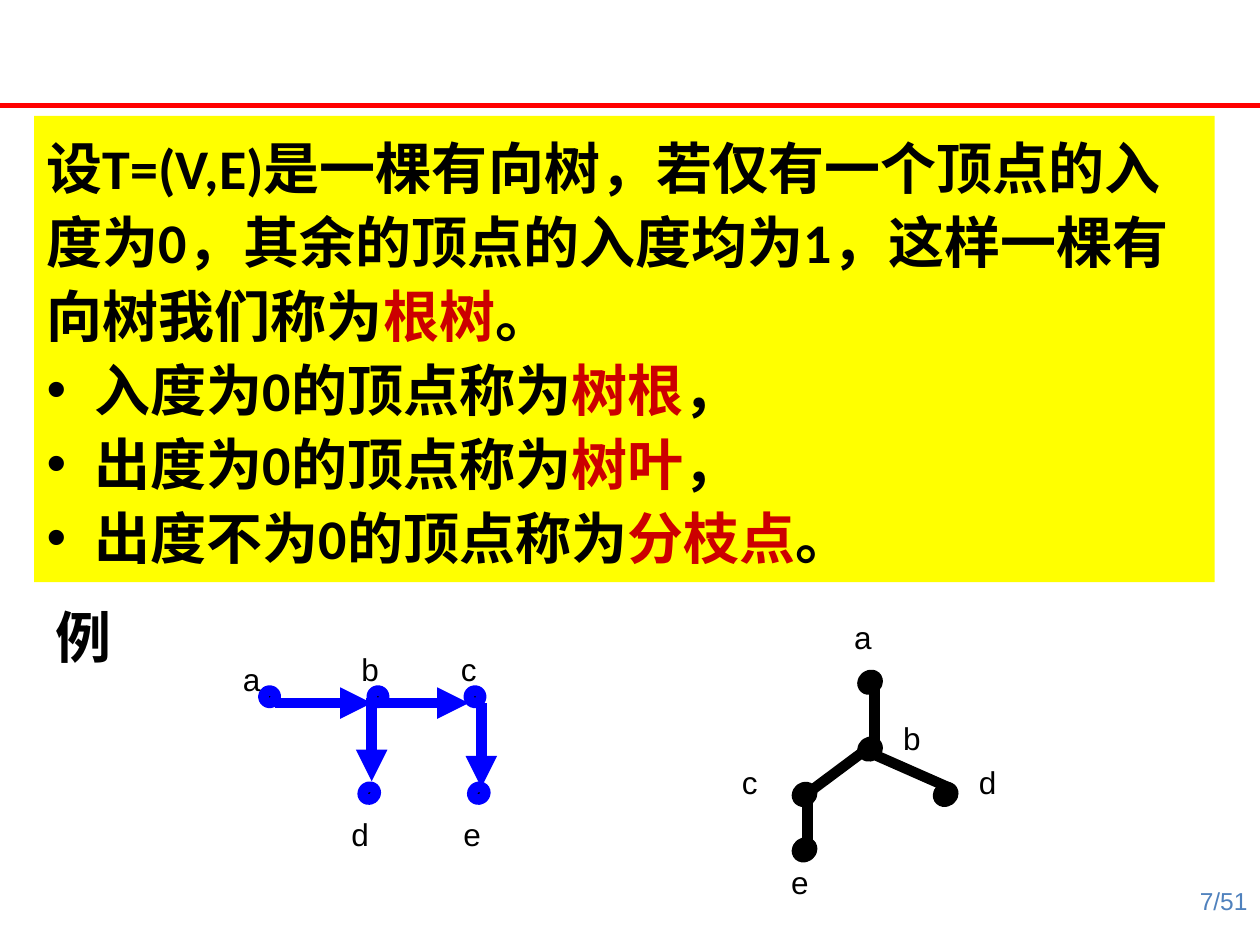
from lxml import etree
from pptx import Presentation
from pptx import util as u
from pptx.dml.color import RGBColor
from pptx.enum import shapes, text
from pptx.oxml.ns import qn

BLACK, BLUE, RED, CRIMSON = "000000", "0000FF", "FF0000", "CC0000"
YELLOW, STEEL = "FFFF00", "4F81BD"


def color(hex_string):
    return RGBColor.from_string(hex_string)


def add_text(p, content, font="Arial", size=18, fill=BLACK, bold=False):
    r = p.add_run()
    r.text = content
    r.font.name, r.font.size, r.font.bold = font, u.Pt(size), bold
    r.font.color.rgb = color(fill)
    return r


class Deck:
    def __init__(self):
        self.prs = Presentation()
        self.prs.slide_width, self.prs.slide_height = u.Inches(10), u.Inches(7.5)
        self.s = self.prs.slides.add_slide(self.prs.slide_layouts[1])
        title = self.s.shapes.title
        title.element.getparent().remove(title.element)
        self.shapes = self.s.shapes

    def group(self):
        self.shapes = self.s.shapes.add_group_shape().shapes

    def line(self, start, end, stroke, width=6, arrow=False):
        sp = self.shapes.add_connector(
            shapes.MSO_CONNECTOR.STRAIGHT, *map(u.Inches, (*start, *end)))
        sp.line.color.rgb, sp.line.width = color(stroke), u.Pt(width)
        if arrow:
            etree.SubElement(sp.line._get_or_add_ln(), qn("a:tailEnd"), type="triangle")
        etree.SubElement(sp._element.spPr, qn("a:effectLst"))

    def dot(self, x, y, w, h, stroke, rotation=0):
        sp = self.shapes.add_shape(
            shapes.MSO_SHAPE.OVAL, *map(u.Inches, (x, y, w, h)))
        sp.shadow.inherit = False
        sp.rotation = rotation
        sp.fill.solid()
        sp.fill.fore_color.rgb = color(BLACK)
        sp.line.color.rgb, sp.line.width = color(stroke), u.Pt(6)

    def label(self, content, x, y, w=0.34, h=0.4, align=None, wrap=False, **fmt):
        tf = self.shapes.add_textbox(*map(u.Inches, (x, y, w, h))).text_frame
        tf.word_wrap = wrap
        tf.auto_size = text.MSO_AUTO_SIZE.SHAPE_TO_FIT_TEXT
        p = tf.paragraphs[0]
        p.alignment = align
        add_text(p, content, **fmt)

    def body(self, paragraphs, x, y, w, h):
        sp = self.s.placeholders[1]
        sp.left, sp.top, sp.width, sp.height = map(u.Inches, (x, y, w, h))
        sp.fill.solid()
        sp.fill.fore_color.rgb = color(YELLOW)
        tf = sp.text_frame
        tf.auto_size = text.MSO_AUTO_SIZE.NONE
        tf.vertical_anchor = text.MSO_ANCHOR.MIDDLE
        for i, (lead, term, end) in enumerate(paragraphs):
            p = tf.paragraphs[0] if i == 0 else tf.add_paragraph()
            p.alignment = text.PP_ALIGN.LEFT
            p.line_spacing, p.space_before = 1.1, u.Pt(0)
            pPr = p._p.get_or_add_pPr()
            indent = u.Inches(0.38) if i else 0
            pPr.set("marL", str(indent))
            pPr.set("indent", str(-indent))
            if i:
                etree.SubElement(pPr, qn("a:buFont"), typeface="Arial")
                etree.SubElement(pPr, qn("a:buChar"), char="•")
            else:
                etree.SubElement(pPr, qn("a:buNone"))
            for content, fill in ((lead, BLACK), (term, CRIMSON), (end, BLACK)):
                add_text(p, content, font="Calibri", size=32, fill=fill, bold=True)


def main():
    d = Deck()

    # Header rule, page number and definitions
    d.line((0, 0.84), (10, 0.84), RED, width=3)
    d.label("7/51", 7.67, 6.98, 2.33, 0.52, align=text.PP_ALIGN.RIGHT,
            wrap=True, size=14, fill=STEEL)
    d.body([
        ("设T=(V,E)是一棵有向树，若仅有一个顶点的入度为0，其余的顶点的入度均为1，"
         "这样一棵有向树我们称为", "根树", "。"),
        ("入度为0的顶点称为", "树根", "，"),
        ("出度为0的顶点称为", "树叶", "，"),
        ("出度不为0的顶点称为", "分枝点", "。"),
    ], 0.27, 0.92, 9.37, 3.7)

    # Directed tree
    d.group()
    for x in (2.09, 2.95, 3.72):
        d.dot(x, 5.48, 0.1, 0.1, BLUE)
    for x in (2.88, 3.75):
        d.dot(x, 6.24, 0.1, 0.11, BLUE, rotation=50.9)
    for start, end in (((2.18, 5.58), (2.95, 5.58)), ((2.95, 5.58), (3.72, 5.58)),
                       ((3.82, 5.58), (3.82, 6.25)), ((2.95, 5.54), (2.95, 6.2))):
        d.line(start, end, BLUE, arrow=True)
    d.label("例", 0.34, 4.73, 1.26, 0.64, wrap=True, size=32, bold=True)
    for name, x, y in (("a", 1.83, 5.19), ("b", 2.77, 5.11), ("c", 3.56, 5.11),
                       ("d", 2.69, 6.42), ("e", 3.58, 6.42)):
        d.label(name, x, y)

    # Undirected tree
    d.group()
    for x, y in ((6.85, 5.88), (7.45, 6.24), (6.33, 6.24), (6.33, 6.68), (6.85, 5.35)):
        d.dot(x, y, 0.11, 0.13, BLACK, rotation=50.9)
    for start, end in (((6.94, 5.9), (6.35, 6.34)), ((6.94, 5.99), (7.53, 6.25)),
                       ((6.41, 6.25), (6.41, 6.78)), ((6.94, 5.46), (6.94, 5.99))):
        d.line(start, end, BLACK)
    for name, x, y in (("a", 6.68, 4.86), ("b", 7.07, 5.66), ("c", 5.79, 6.01),
                       ("d", 7.67, 6.01), ("e", 6.18, 6.8)):
        d.label(name, x, y)

    d.prs.save("out.pptx")


if __name__ == "__main__":
    main()
